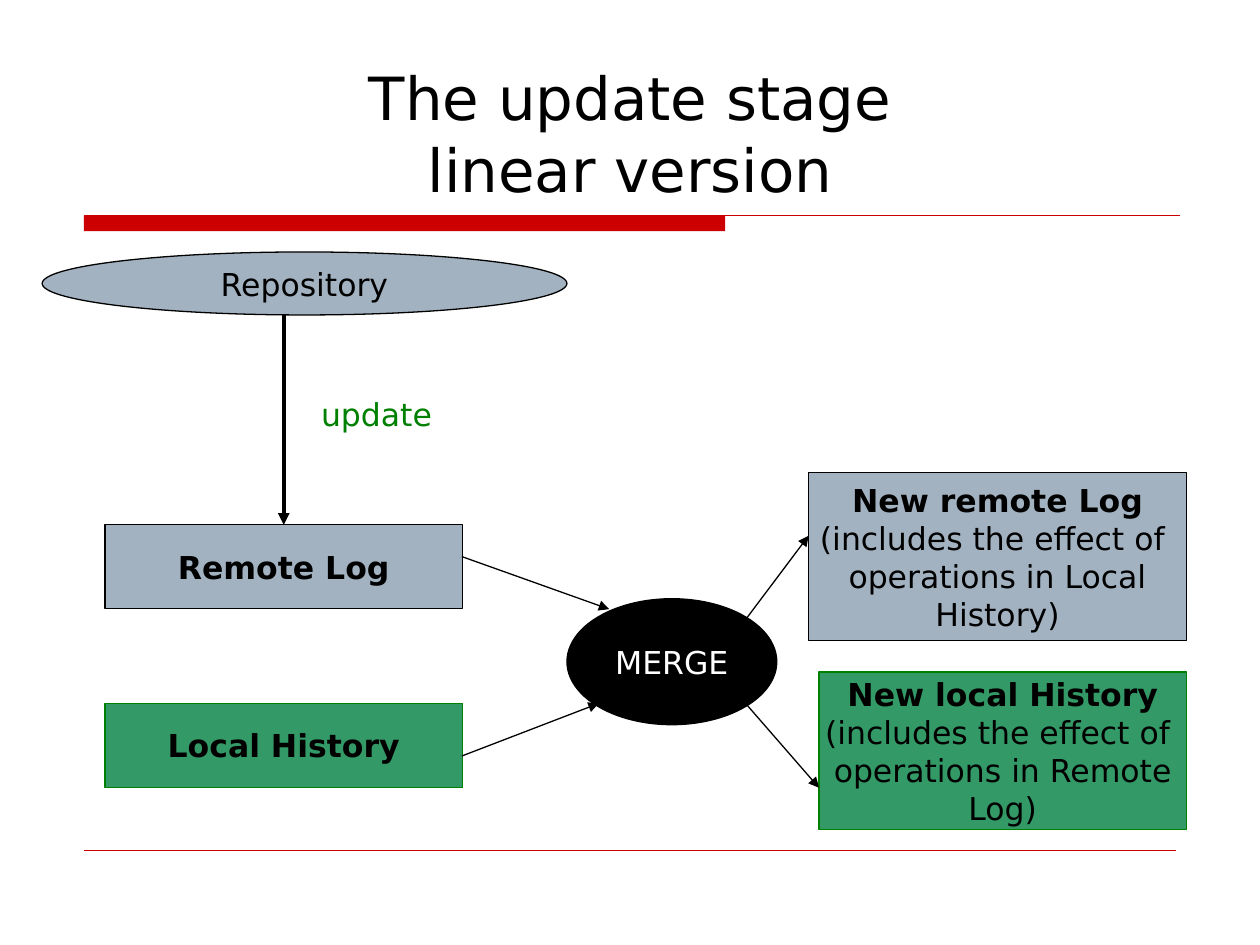
import pptx
import pptx.dml.color
import pptx.enum.shapes
import pptx.enum.text
import pptx.oxml.ns
import pptx.util
from lxml import etree

Cm = pptx.util.Cm
RGBColor = pptx.dml.color.RGBColor
SHAPE = pptx.enum.shapes.MSO_SHAPE
ANCHOR = pptx.enum.text.MSO_ANCHOR

BLACK = RGBColor(0x00, 0x00, 0x00)
WHITE = RGBColor(0xFF, 0xFF, 0xFF)
RED = RGBColor(0xCC, 0x00, 0x00)
GRAY = RGBColor(0xA3, 0xB2, 0xC1)
GREEN = RGBColor(0x33, 0x99, 0x66)
DARK_GREEN = RGBColor(0x00, 0x80, 0x00)
FONT = "DejaVu Sans"


def write_text(frame, text, color=BLACK, size=18, bold_first=False):
    """Fill a frame with centred text, optionally with a bold first paragraph."""
    frame.text = text
    for index, paragraph in enumerate(frame.paragraphs):
        paragraph.alignment = pptx.enum.text.PP_ALIGN.CENTER
        for run in paragraph.runs:
            run.font.name = FONT
            run.font.size = pptx.util.Pt(size)
            run.font.bold = bold_first and index == 0
            run.font.color.rgb = color


def add_label(slide, box, text, color=BLACK, size=18, anchor=ANCHOR.TOP):
    label = slide.shapes.add_textbox(*map(Cm, box))
    label.text_frame.word_wrap = True
    label.text_frame.vertical_anchor = anchor
    write_text(label.text_frame, text, color, size)


def add_node(slide, kind, box, fill, border, text="", color=BLACK, bold_first=False):
    node = slide.shapes.add_shape(kind, *map(Cm, box))
    node.shadow.inherit = False
    node.fill.solid()
    node.fill.fore_color.rgb = fill
    if border is None:
        node.line.fill.background()
    else:
        node.line.color.rgb = border
        node.line.width = pptx.util.Pt(0.75)
    if text:
        node.text_frame.word_wrap = False
        node.text_frame.vertical_anchor = ANCHOR.MIDDLE
        write_text(node.text_frame, text, color, bold_first=bold_first)


def add_line(slide, start, end, color=BLACK, width=0.75, arrow=True):
    line = slide.shapes.add_connector(
        pptx.enum.shapes.MSO_CONNECTOR.STRAIGHT, *map(Cm, start + end))
    line.line.color.rgb = color
    line.line.width = pptx.util.Pt(width)
    qn = pptx.oxml.ns.qn
    if arrow:
        outline = line.line._get_or_add_ln()
        etree.SubElement(outline, qn("a:tailEnd"), type="triangle")
    etree.SubElement(line._element.spPr, qn("a:effectLst"))


def main():
    deck = pptx.Presentation()
    deck.slide_width, deck.slide_height = Cm(25.4), Cm(19.05)
    slide = deck.slides.add_slide(deck.slide_layouts[6])

    # Title with its red rule, and the footer rule
    add_node(slide, SHAPE.RECTANGLE, (1.69, 4.35, 12.93, 0.31), RED, None)
    add_line(slide, (1.69, 4.35), (23.79, 4.35), RED, arrow=False)
    add_line(slide, (1.69, 17.15), (23.71, 17.15), RED, 0.25, arrow=False)
    add_label(slide, (1.59, 0.85, 22.23, 3.39), "The update stage\vlinear version",
              size=34, anchor=ANCHOR.BOTTOM)

    # Repository and its update
    add_node(slide, SHAPE.OVAL, (0.85, 5.08, 10.58, 1.27), GRAY, BLACK, "Repository")
    add_line(slide, (5.72, 6.35), (5.72, 10.58), width=2.25)
    add_label(slide, (6.14, 7.83, 2.9, 1.02), "update", DARK_GREEN)

    # Inputs, merge and results
    boxes = [
        ((2.12, 10.58, 7.2, 1.69), GRAY, BLACK, "Remote Log"),
        ((2.12, 14.18, 7.2, 1.69), GREEN, DARK_GREEN, "Local History"),
        ((16.3, 9.53, 7.62, 3.39), GRAY, BLACK,
         "New remote Log\n(includes the effect of \noperations in Local\nHistory)"),
        ((16.51, 13.55, 7.41, 3.18), GREEN, DARK_GREEN,
         "New local History\n(includes the effect of \noperations in Remote\nLog)"),
    ]
    for box, fill, border, text in boxes:
        add_node(slide, SHAPE.RECTANGLE, box, fill, border, text, bold_first=True)
    add_node(slide, SHAPE.OVAL, (11.43, 12.07, 4.23, 2.54), BLACK, BLACK, "MERGE", WHITE)

    # Arrows into and out of the merge
    arrows = [
        ((9.31, 11.22), (12.28, 12.28)),
        ((9.31, 15.24), (12.07, 14.18)),
        ((15.03, 12.49), (16.3, 10.8)),
        ((15.03, 14.18), (16.51, 15.88)),
    ]
    for start, end in arrows:
        add_line(slide, start, end)

    deck.save("out.pptx")


if __name__ == "__main__":
    main()
